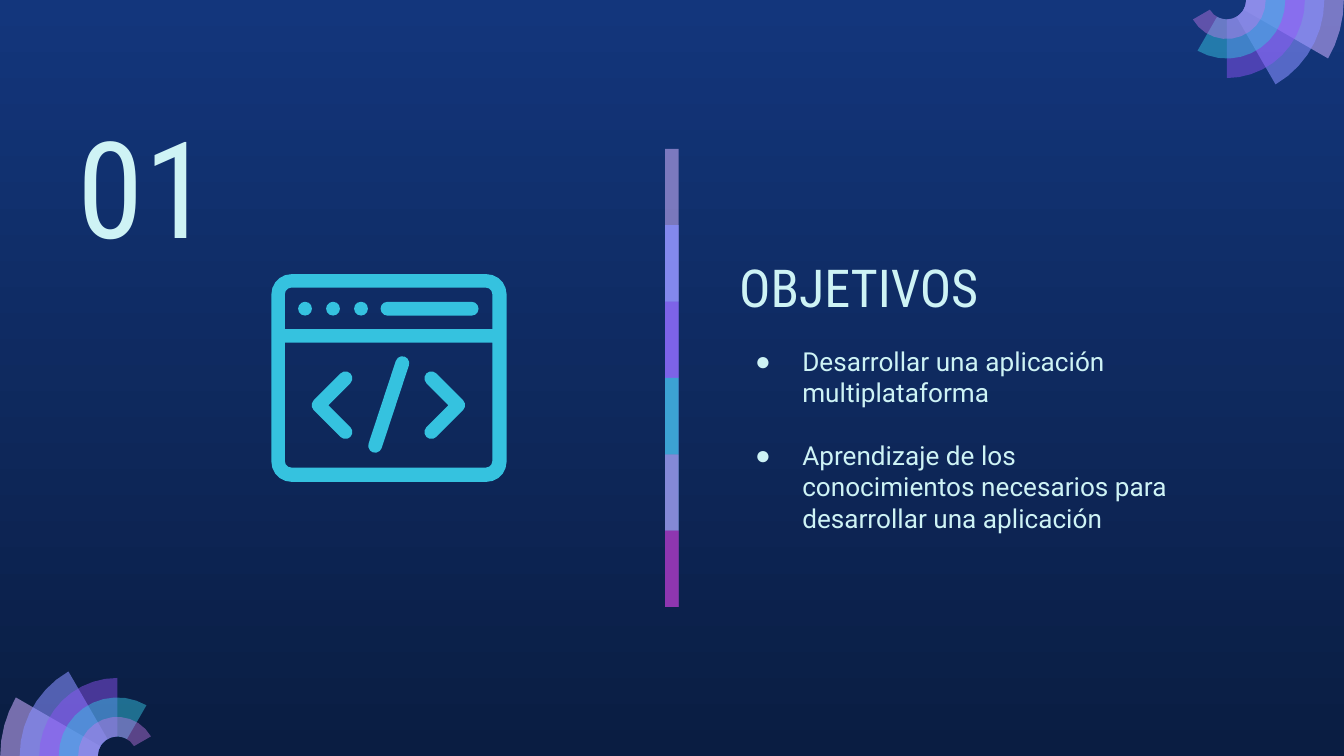
"""Build the section slide "01 Objetivos" with a code-window icon and colour fans."""
from math import acos, atan2, ceil, cos, degrees, radians, sin, sqrt

from lxml import etree
from pptx import Presentation
from pptx.dml.color import RGBColor
from pptx.enum import shapes, text
from pptx.oxml.ns import qn
from pptx.util import Pt

PALE = RGBColor(0xCE, 0xF3, 0xF5)
CYAN = RGBColor(0x35, 0xC2, 0xDF)
LILAC = RGBColor(0xC8, 0xAE, 0xF8)
MAUVE = RGBColor(0xC8, 0xAC, 0xFD)
BLUE = RGBColor(0x87, 0x8F, 0xFF)
VIOLET = RGBColor(0x91, 0x54, 0xF8)
PINK = RGBColor(0xCA, 0x7B, 0xEB)
PLUM = RGBColor(0x97, 0x2C, 0xB4)
NAVY = (RGBColor(0x13, 0x36, 0x7C), RGBColor(0x0A, 0x1D, 0x42))

NUMBER = "01"
TITLE = "OBJETIVOS"
GOALS = [
    "Desarrollar una aplicación multiplataforma",
    "Aprendizaje de los conocimientos necesarios para desarrollar una aplicación",
]
BARS = [(LILAC, 58), (BLUE, 74), (VIOLET, 53), (CYAN, 76), (PINK, 56), (PLUM, 74)]
BAR_LEFT, BAR_TOP, BAR_WIDE, BAR_STEP = 356.4, 79.8, 7.2, 40.9
BLADES = [(MAUVE, 57), (BLUE, 58), (VIOLET, 46), (CYAN, 49), (PINK, 42)]
FANS = [(62.8, 405, 180), (657.2, 0, 0)]
RING = 10.45
STROKE = 3.7
DOTS = [163.4, 178.4, 193.4]
DOT_Y = 165.4
MIRROR = 416.2
SAG = 0.15


def arc(x, y, size, start, end):
    if size == 0:
        return [(x, y)]
    step = 2 * degrees(acos(1 - SAG / size))
    count = ceil(abs(end - start) / step)
    turns = [radians(start + (end - start) * i / count) for i in range(count + 1)]
    return [(x + size * cos(a), y + size * sin(a)) for a in turns]


def round_box(left, top, right, base, upper, lower):
    return (arc(left + upper, top + upper, upper, 180, 270)
            + arc(right - upper, top + upper, upper, 270, 360)
            + arc(right - lower, base - lower, lower, 0, 90)
            + arc(left + lower, base - lower, lower, 90, 180))


def slash(x1, y1, x2, y2):
    lean = degrees(atan2(y2 - y1, x2 - x1))
    return (arc(x1, y1, STROKE, lean + 90, lean + 270)
            + arc(x2, y2, STROKE, lean - 90, lean + 90))


def chevron(x, y, reach):
    return (arc(x - reach, y - reach, STROKE, 135, 315)
            + arc(x, y, STROKE, -45, 45)
            + arc(x - reach, y + reach, STROKE, 45, 225)
            + [(x - STROKE * sqrt(2), y)])


def paint(shape, color, alpha=100):
    shape.shadow.inherit = False
    shape.line.fill.background()
    shape.fill.solid()
    shape.fill.fore_color.rgb = color
    if alpha < 100:
        tone = shape._element.spPr.find(qn("a:solidFill")).find(qn("a:srgbClr"))
        etree.SubElement(tone, qn("a:alpha"), val=str(alpha * 1000))


def draw(slide, loops, color, alpha=100):
    loops = [[(x * 100, y * 100) for x, y in loop] for loop in loops]
    pen = slide.shapes.build_freeform(*loops[0][0], scale=127)
    pen.add_line_segments(loops[0][1:])
    for loop in loops[1:]:
        pen.move_to(*loop[0])
        pen.add_line_segments(loop[1:])
    paint(pen.convert_to_shape(), color, alpha)


def block(slide, kind, place, color, alpha=100):
    shape = slide.shapes.add_shape(kind, *map(Pt, place))
    paint(shape, color, alpha)
    return shape


def write(shape, place, lines, face, size, anchor):
    shape.left, shape.top, shape.width, shape.height = map(Pt, place)
    frame = shape.text_frame
    frame.text = "\n".join(lines)
    frame.word_wrap = True
    frame.auto_size = text.MSO_AUTO_SIZE.NONE
    frame.vertical_anchor = anchor
    frame.margin_left = frame.margin_right = Pt(7.2)
    frame.margin_top = frame.margin_bottom = Pt(7.2)
    for para in frame.paragraphs:
        para.alignment = text.PP_ALIGN.LEFT
        para.space_before = Pt(0)
        para.font.name, para.font.size = face, Pt(size)
        para.font.color.rgb = PALE
    return frame.paragraphs


def bullet(para):
    props = para._p.get_or_add_pPr()
    props.set("marL", str(Pt(36)))
    props.set("indent", str(Pt(-25.2)))
    tint = etree.Element(qn("a:buClr"))
    etree.SubElement(tint, qn("a:srgbClr"), val=str(PALE))
    font = props.find(qn("a:defRPr"))
    font.addprevious(tint)
    font.addprevious(etree.Element(qn("a:buChar"), char="●"))


def main():
    deck = Presentation()
    deck.slide_width, deck.slide_height = Pt(720), Pt(405)
    slide = deck.slides.add_slide(deck.slide_layouts[1])
    back = slide.background.fill
    back.gradient()
    back.gradient_angle = 270
    for stop, color, place in zip(back.gradient_stops, NAVY, (0, 1)):
        stop.color.rgb, stop.position = color, place

    kinds = shapes.MSO_SHAPE
    for i, (color, alpha) in enumerate(BARS):
        high = BAR_STEP * min(2, len(BARS) - i)
        place = (BAR_LEFT, BAR_TOP + i * BAR_STEP, BAR_WIDE, high)
        block(slide, kinds.RECTANGLE, place, color, alpha)

    arrow = chevron(245.5, 217.1, 14.4)
    window = [
        round_box(145.4, 146.9, 271.4, 258.2, 10.8, 10.8),
        round_box(152.6, 154.1, 263.8, 176.4, 3.6, 0),
        round_box(152.6, 183.6, 263.8, 250.6, 0, 3.6),
    ]
    flipped = [(MIRROR - x, y) for x, y in arrow]
    for loops in (window, [arrow], [flipped], [slash(215.6, 194.6, 201, 238.9)]):
        draw(slide, loops, CYAN)
    top, wide = DOT_Y - STROKE, 2 * STROKE
    for x in DOTS:
        block(slide, kinds.OVAL, (x - STROKE, top, wide, wide), CYAN)
    field = block(slide, kinds.ROUNDED_RECTANGLE, (203.9, top, 52.5, wide), CYAN)
    field.adjustments[0] = 0.5

    for x, y, start in FANS:
        for i, (color, alpha) in enumerate(BLADES):
            end = start + 30 * (i + 1)
            outer = arc(x, y, RING * (6 - i), start, end)
            draw(slide, [outer + arc(x, y, RING, end, start)], color, alpha)

    write(slide.shapes.title, (388.8, 101.5, 150, 76.3), [TITLE],
          "Roboto Condensed", 28, text.MSO_ANCHOR.BOTTOM)
    goals = write(slide.placeholders[1], (386.6, 177.8, 252.7, 119.5), GOALS,
                  "Roboto", 14, text.MSO_ANCHOR.TOP)
    for para in goals:
        bullet(para)
    for para in goals[1:]:
        para.space_before = Pt(16.8)
    label = slide.shapes.add_textbox(0, 0, Pt(72), Pt(72))
    write(label, (34.6, 16.6, 173.5, 164.2), [NUMBER], "Roboto Condensed", 72,
          text.MSO_ANCHOR.MIDDLE)
    deck.save("out.pptx")


if __name__ == "__main__":
    main()
